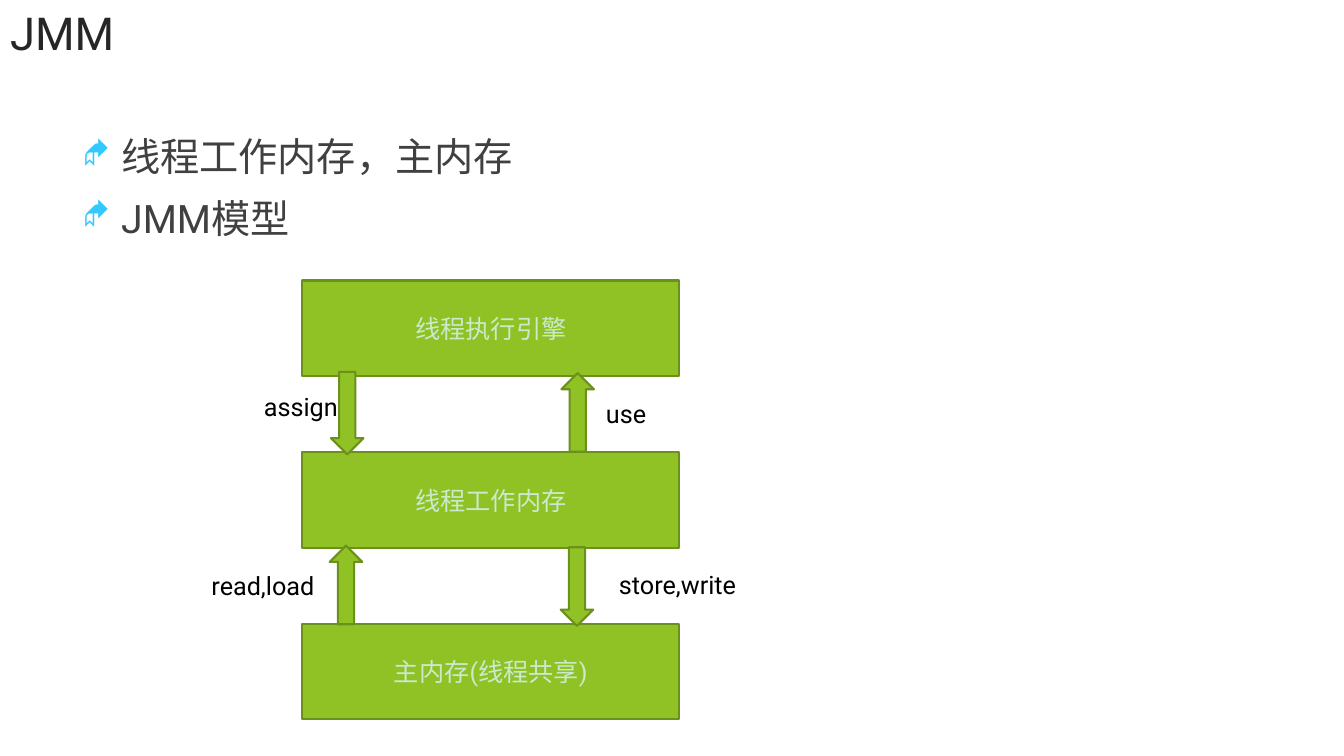
from lxml.etree import SubElement
from pptx import Presentation
from pptx.dml.color import RGBColor
from pptx.enum.shapes import MSO_SHAPE
from pptx.enum.text import MSO_ANCHOR, MSO_AUTO_SIZE, PP_ALIGN
from pptx.oxml.ns import qn
from pptx.util import Cm, Pt

LATIN = "Roboto"
CJK = "Noto Sans CJK JP"
GREEN, DARK_GREEN, PALE_GREEN = "90C226", "6B901C", "CAEACE"


def colour(value):
    return RGBColor.from_string(value)


def place(shape, left, top, width, height):
    shape.left, shape.top = Cm(left), Cm(top)
    shape.width, shape.height = Cm(width), Cm(height)


def write(paragraph, text, size=18, font=LATIN, fill="000000",
          align=PP_ALIGN.LEFT, before=0, line=None):
    paragraph.alignment = align
    paragraph.space_before = Pt(before)
    if line:
        paragraph.line_spacing = Pt(line)
    run = paragraph.add_run()
    run.text = text
    run.font.size = Pt(size)
    run.font.name = font
    run.font.color.rgb = colour(fill)
    SubElement(run.font._element, qn("a:ea"), typeface=CJK)


def add_bullet(paragraph):
    properties = paragraph._p.get_or_add_pPr()
    properties.set("marL", str(Cm(0.97)))
    properties.set("indent", str(-Cm(0.97)))
    tint = SubElement(properties, qn("a:buClr"))
    SubElement(tint, qn("a:srgbClr"), val="33C9FF")
    SubElement(properties, qn("a:buSzPct"), val="80000")
    SubElement(properties, qn("a:buFont"), typeface="Wingdings")
    SubElement(properties, qn("a:buChar"), char="◆")


def fill_title(title, text):
    place(title, 0, 0, 23.88, 1.63)
    frame = title.text_frame
    frame.auto_size = MSO_AUTO_SIZE.NONE
    frame.vertical_anchor = MSO_ANCHOR.MIDDLE
    write(frame.paragraphs[0], text, size=32.4, fill="262626")


def fill_list(body, items):
    place(body, 1.83, 3.22, 27.05, 14.9)
    frame = body.text_frame
    frame.auto_size = MSO_AUTO_SIZE.NONE
    for index, (text, font) in enumerate(items):
        paragraph = frame.add_paragraph() if index else frame.paragraphs[0]
        add_bullet(paragraph)
        write(paragraph, text, size=28, font=font, fill="404040",
              before=10 if index else 0, line=33.6)


def add_green_shape(slide, kind, left, top, width, height):
    shape = slide.shapes.add_shape(kind, Cm(left), Cm(top), Cm(width), Cm(height))
    shape.shadow.inherit = False
    shape.fill.solid()
    shape.fill.fore_color.rgb = colour(GREEN)
    shape.line.color.rgb = colour(DARK_GREEN)
    shape.line.width = Pt(1.5)
    return shape


def add_layer(slide, text, top):
    layer = add_green_shape(slide, MSO_SHAPE.RECTANGLE, 7.62, top, 9.5, 2.4)
    layer.text_frame.vertical_anchor = MSO_ANCHOR.MIDDLE
    write(layer.text_frame.paragraphs[0], text, fill=PALE_GREEN,
          align=PP_ALIGN.CENTER)


def add_flow(slide, left, top, height, rotation):
    arrow = add_green_shape(slide, MSO_SHAPE.UP_ARROW, left, top, 0.82, height)
    arrow.rotation = rotation


def add_label(slide, text, left, top, width):
    label = slide.shapes.add_textbox(Cm(left), Cm(top), Cm(width), Cm(1.02))
    label.text_frame.word_wrap = True
    write(label.text_frame.paragraphs[0], text)


def main():
    deck = Presentation()
    deck.slide_width, deck.slide_height = Cm(33.87), Cm(19.05)
    slide = deck.slides.add_slide(deck.slide_layouts[1])
    fill_title(slide.shapes.title, "JMM")
    fill_list(slide.placeholders[1],
              [("线程工作内存，主内存", CJK), ("JMM模型", LATIN)])

    layers = ["线程执行引擎", "线程工作内存", "主内存(线程共享)"]
    for index, text in enumerate(layers):
        add_layer(slide, text, 7.07 + 4.33 * index)

    for left, top, height, rotation in [
        (8.31, 13.75, 1.98, 0),
        (14.13, 13.79, 1.98, 180),
        (8.34, 9.37, 2.08, 180),
        (14.15, 9.4, 1.98, 0),
    ]:
        add_flow(slide, left, top, height, rotation)

    for text, left, top, width in [
        ("read,load", 5.08, 14.25, 3.4),
        ("store,write", 15.35, 14.22, 4.2),
        ("use", 15.02, 9.9, 4.2),
        ("assign", 6.4, 9.74, 4.2),
    ]:
        add_label(slide, text, left, top, width)

    deck.save("out.pptx")


if __name__ == "__main__":
    main()
